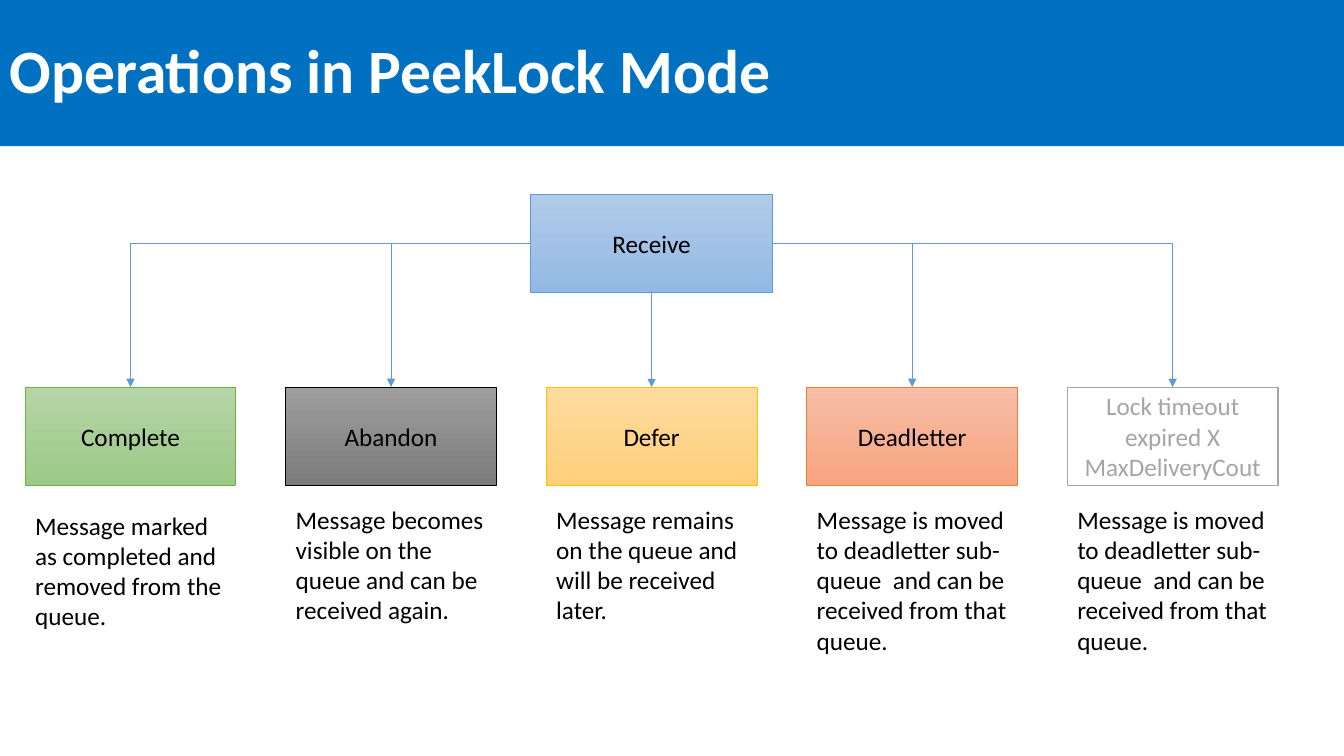
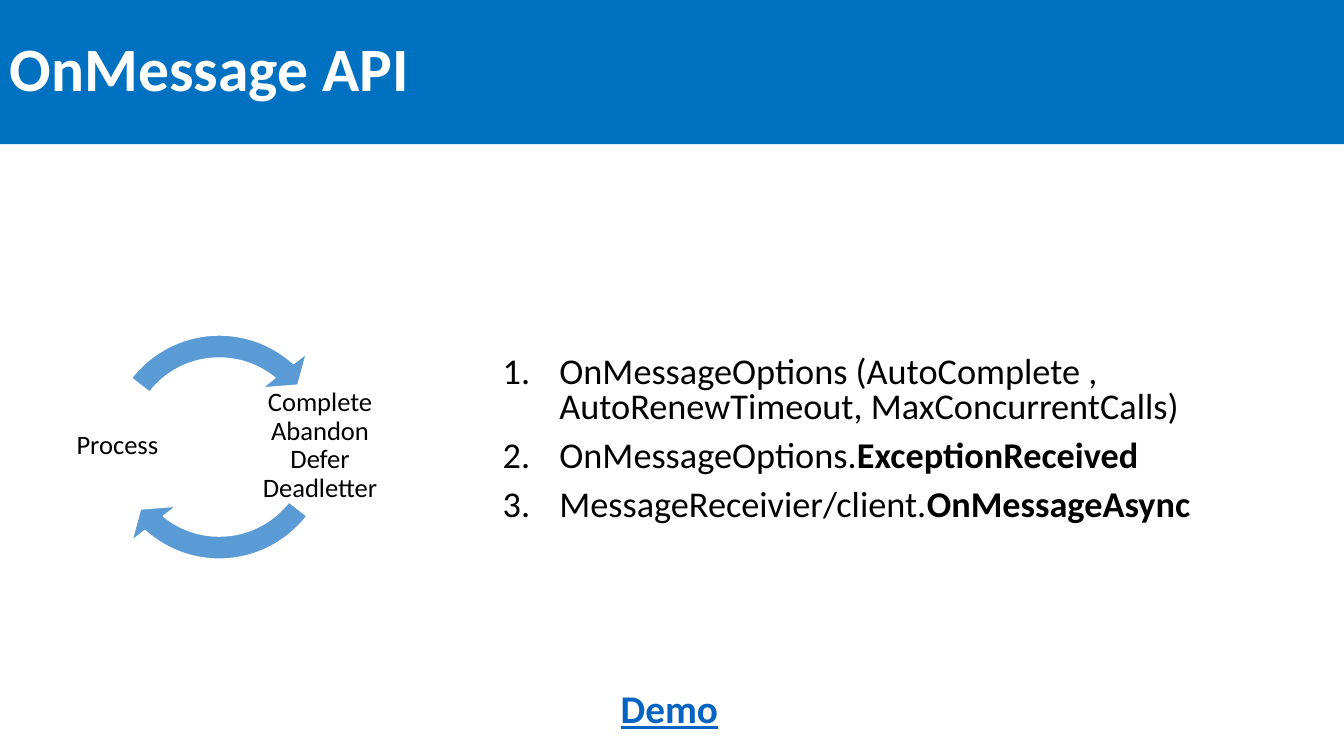
from lxml.etree import SubElement
from pptx import Presentation
from pptx.dml.color import RGBColor
from pptx.enum.shapes import MSO_CONNECTOR as CONNECTOR, MSO_SHAPE as SHAPE
from pptx.enum.text import MSO_ANCHOR as ANCHOR, PP_ALIGN as ALIGN
from pptx.oxml.ns import qn
from pptx.util import Pt

WIDTH, HEIGHT = 960, 540
FONT = "Calibri"
BLACK, WHITE = "000000", "FFFFFF"
BAND, ACCENT, LINK, GREY = "0070C0", "5B9BD5", "0563C1", "A5A5A5"
TITLE = {"size": Pt(44), "bold": True}
MIDDLE = {"vertical_anchor": ANCHOR.MIDDLE}
CENTER = {"alignment": ALIGN.CENTER}
TIGHT = dict.fromkeys(
    ("margin_left", "margin_top", "margin_right", "margin_bottom"), Pt(2.4))

# Connection sites of a rectangle
TOP, LEFT, BOTTOM, RIGHT = range(4)

BOX_W, BOX_H = 150.5, 70
BOX_LEFT, BOX_TOP, BOX_PITCH = 18, 276.5, 186.1
RECEIVE_W, RECEIVE_TOP = 172.8, 139
RECEIVE_FILL = ("B1CBE9", "93B9E4")
MOVED = ("Message is moved to deadletter sub-queue  and can be received "
         "from that queue.")
# label, gradient, line colour, line width, text colour, description, its top
OPERATIONS = [
    ("Complete", ("B5D5A7", "9CC987"), "70AD47", 0.5, BLACK,
     "Message marked as completed and removed from the queue.", 360.7),
    ("Abandon", ("9D9D9D", "7C7C7C"), BLACK, 0.5, BLACK,
     "Message becomes visible on the queue and can be received again.", 356.4),
    ("Defer", ("FFDB9E", "FFD07C"), "FFC000", 0.5, BLACK,
     "Message remains on the queue and will be received later.", 356.4),
    ("Deadletter", ("F7BDA5", "F8A582"), "ED7D31", 0.5, BLACK, MOVED, 356.4),
    ("Lock timeout expired X MaxDeliveryCout", None, GREY, 0.75, GREY,
     MOVED, 356.4),
]

# left, text
CYCLE_LABELS = [(184.3, "Complete Abandon Defer Deadletter"),
                (39.6, "Process")]
# top, end angle, start angle
CYCLE_ARROWS = [(229, 78.51, 22.64), (227.5, 186.51, 130.64)]

# plain part, bold part
API_STEPS = [
    ("OnMessageOptions (AutoComplete , AutoRenewTimeout, MaxConcurrentCalls)",
     ""),
    ("OnMessageOptions.", "ExceptionReceived"),
    ("MessageReceivier/client.", "OnMessageAsync"),
]


def rgb(color):
    return RGBColor.from_string(color)


def set_all(obj, values):
    for name, value in values.items():
        setattr(obj, name, value)


def add_run(p, text, color=BLACK, **font):
    r = p.add_run()
    r.text = text
    set_all(r.font, {"name": FONT, "size": Pt(18), **font})
    r.font.color.rgb = rgb(color)


def write(sp, text, color=BLACK, frame=None, para=None, **font):
    """Put one paragraph of text into a shape."""
    tf = sp.text_frame
    set_all(tf, {"word_wrap": True, **(frame or {})})
    p = tf.paragraphs[0]
    set_all(p, para or {})
    add_run(p, text, color, **font)


def add_text(s, box, text, **style):
    write(s.shapes.add_textbox(*map(Pt, box)), text, **style)


def add_shape(s, kind, box, fill=None, line=None, line_width=0.5):
    """Add a shape; fill is a colour, a (top, bottom) gradient or None."""
    sp = s.shapes.add_shape(kind, *map(Pt, box))
    sp.shadow.inherit = False
    if fill is None:
        sp.fill.background()
    elif isinstance(fill, tuple):
        sp.fill.gradient()
        sp.fill.gradient_angle = 270
        for stop, color in zip(sp.fill.gradient_stops, fill):
            stop.color.rgb = rgb(color)
    else:
        sp.fill.solid()
        sp.fill.fore_color.rgb = rgb(fill)
    if line:
        sp.line.color.rgb = rgb(line)
        sp.line.width = Pt(line_width)
    else:
        sp.line.fill.background()
    return sp


def add_box(s, box, label, fill, line, line_width=0.5, color=BLACK):
    sp = add_shape(s, SHAPE.RECTANGLE, box, fill, line, line_width)
    write(sp, label, color, MIDDLE, CENTER)
    return sp


def add_arrow(s, start, site, end):
    """Link a site of start to the top of end, with one bend from a side."""
    straight = site == BOTTOM
    kind = CONNECTOR.STRAIGHT if straight else CONNECTOR.ELBOW
    c = s.shapes.add_connector(kind, 0, 0, 0, 0)
    c.begin_connect(start, site)
    c.end_connect(end, TOP)
    c.line.color.rgb = rgb(ACCENT)
    c.line.width = Pt(0.5)
    sp_pr = c._element.spPr
    if not straight:
        sp_pr.find(qn("a:prstGeom")).set("prst", "bentConnector2")
    SubElement(sp_pr.find(qn("a:ln")), qn("a:tailEnd"), type="triangle")
    SubElement(sp_pr, qn("a:effectLst"))


def add_numbered_list(s, box, items, size, indent):
    tf = s.shapes.add_textbox(*map(Pt, box)).text_frame
    tf.word_wrap = True
    for i, (plain, strong) in enumerate(items):
        p = tf.add_paragraph() if i else tf.paragraphs[0]
        p_pr = p._p.get_or_add_pPr()
        p_pr.set("marL", str(Pt(indent)))
        p_pr.set("indent", str(-Pt(indent)))
        SubElement(p_pr, qn("a:buFont"), typeface="+mj-lt")
        SubElement(p_pr, qn("a:buAutoNum"), type="arabicPeriod")
        set_all(p, {"line_spacing": 0.8, "space_before": Pt(10 if i else 0)})
        add_run(p, plain, size=Pt(size))
        if strong:
            add_run(p, strong, size=Pt(size), bold=True)


def add_slide(prs, title, band_top=0):
    s = prs.slides.add_slide(prs.slide_layouts[6])
    band = add_shape(s, SHAPE.RECTANGLE, (0, band_top, WIDTH, 104.4), BAND)
    write(band, title, WHITE, MIDDLE,
          {"alignment": ALIGN.LEFT, "line_spacing": 0.9}, **TITLE)
    return s


def build_operations(prs):
    s = add_slide(prs, "Operations in PeekLock Mode")
    middle = len(OPERATIONS) // 2
    center = BOX_LEFT + middle * BOX_PITCH + BOX_W / 2
    receive = add_box(
        s, (center - RECEIVE_W / 2, RECEIVE_TOP, RECEIVE_W, BOX_H),
        "Receive", RECEIVE_FILL, ACCENT)
    for i, (label, fill, line, width, color, about, top) in enumerate(OPERATIONS):
        x = BOX_LEFT + i * BOX_PITCH
        box = add_box(s, (x, BOX_TOP, BOX_W, BOX_H), label, fill, line,
                      width, color)
        site = LEFT if i < middle else RIGHT if i > middle else BOTTOM
        add_arrow(s, receive, site, box)
        add_text(s, (x, top, BOX_W, 94.5), about)


def build_api(prs):
    s = add_slide(prs, "OnMessage API", -1.4)
    for top, end, start in CYCLE_ARROWS:
        sp = add_shape(s, SHAPE.CIRCULAR_ARROW, (65.5, top, 182.2, 182.2),
                       ACCENT, WHITE, 1)
        for i, value in enumerate((0.09, 6.85, end, start, 0.11)):
            sp.adjustments[i] = value
    for left, text in CYCLE_LABELS:
        add_text(s, (left, 274.3, 88.6, 88.6), text,
                 frame={**MIDDLE, **TIGHT},
                 para={**CENTER, "line_spacing": 0.9}, size=Pt(19))
    add_numbered_list(s, (352, 251.3, 541.5, 134.6), API_STEPS, 25.9, 40.5)
    add_text(s, (435.6, 485.3, 85, 41), "Demo", color=LINK, para=CENTER,
             size=Pt(28), bold=True, underline=True)


def main():
    prs = Presentation()
    prs.slide_width, prs.slide_height = Pt(WIDTH), Pt(HEIGHT)
    build_operations(prs)
    build_api(prs)
    prs.save("out.pptx")


if __name__ == "__main__":
    main()
